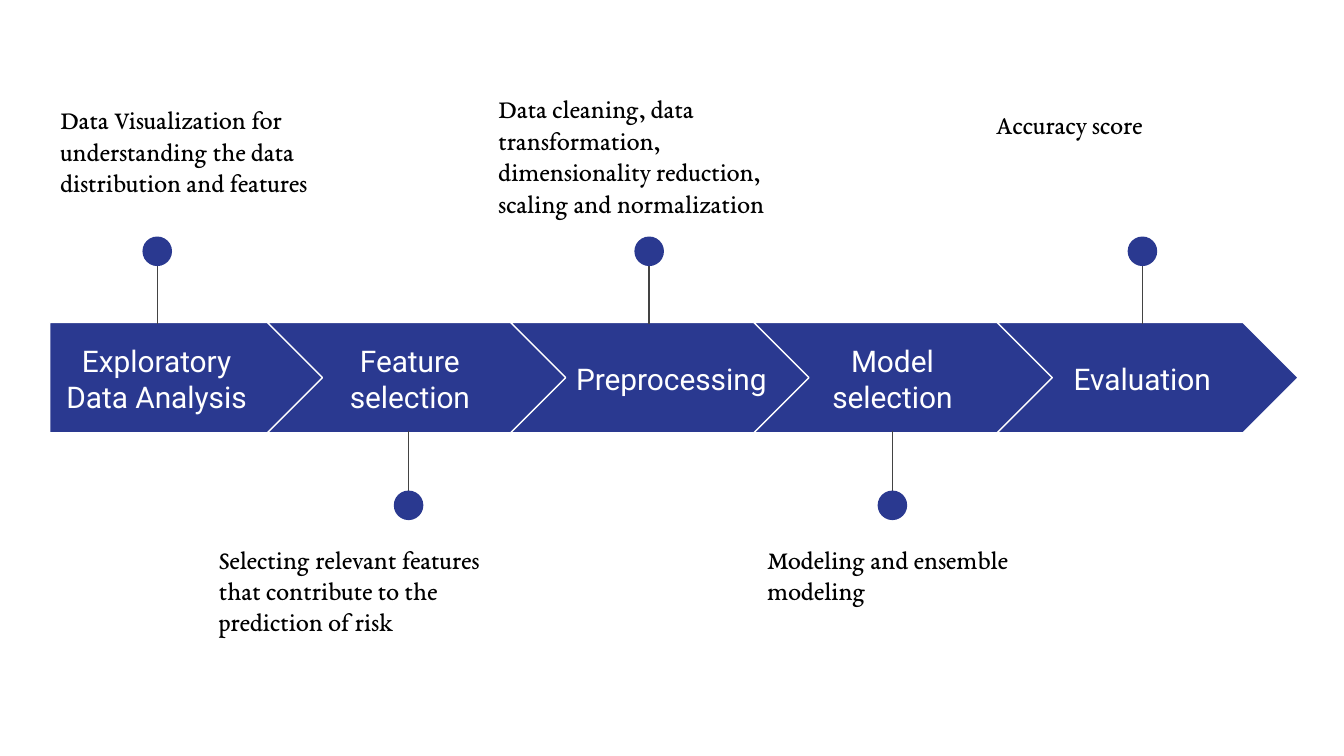
from lxml import etree
from pptx import Presentation
from pptx.dml.color import RGBColor
from pptx.enum import shapes, text
from pptx.oxml.ns import qn
from pptx.util import Inches, Pt

COLORS = {"band": "2A3990", "edge": "FFFFFF", "stem": "434343", "note": "000000"}
BAND_TOP, BAND_HEIGHT = 2.4, 0.82
FIRST_CHEVRON, CHEVRON_STEP, CHEVRON_WIDTH = 1.99, 1.81, 2.24
DOT = 0.22
LABEL_TOP, LABEL_HEIGHT = 2.56, 0.51
NOTE_WIDTH, NOTE_HEIGHT = 2.45, 0.99


class ProcessSlide:
    label_font = ("Roboto", 16, "edge")
    note_font = ("EB Garamond", 14, "note")

    def __init__(self, slide):
        self.slide = slide

    def color(self, name):
        return RGBColor.from_string(COLORS[name])

    def solid(self, kind, left, top, width, height, edge=None):
        solid = self.slide.shapes.add_shape(
            kind, Inches(left), Inches(top), Inches(width), Inches(height))
        solid.shadow.inherit = False
        solid.fill.solid()
        solid.fill.fore_color.rgb = self.color("band")
        if edge:
            solid.line.color.rgb = self.color(edge)
            solid.line.width = Pt(0.75)
        else:
            solid.line.fill.background()
        return solid

    def arrow(self, kind, left, width):
        arrow = self.solid(kind, left, BAND_TOP, width, BAND_HEIGHT, "edge")
        arrow.adjustments[0] = 0.5

    def stem(self, x, start, end):
        stem = self.slide.shapes.add_connector(
            shapes.MSO_CONNECTOR.STRAIGHT,
            Inches(x), Inches(start), Inches(x), Inches(end))
        stem.line.color.rgb = self.color("stem")
        stem.line.width = Pt(0.75)
        etree.SubElement(stem._element.spPr, qn("a:effectLst"))

    def pin(self, x, above):
        dot_top = 1.76 if above else 3.65
        start, end = (1.8, 2.41) if above else (3.82, 3.21)
        self.stem(x, start, end)
        self.solid(shapes.MSO_SHAPE.OVAL, x - DOT / 2, dot_top, DOT, DOT)

    def words(self, content, left, top, width, height, font):
        box = self.slide.shapes.add_textbox(
            Inches(left), Inches(top), Inches(width), Inches(height))
        frame = box.text_frame
        frame.word_wrap = True
        frame.margin_left = frame.margin_right = Inches(0.1)
        frame.margin_top = frame.margin_bottom = Inches(0.1)
        paragraph = frame.paragraphs[0]
        paragraph.text = content
        name, size, color = font
        paragraph.font.name = name
        paragraph.font.size = Pt(size)
        paragraph.font.color.rgb = self.color(color)
        return frame

    def label(self, content, left, width):
        frame = self.words(content, left, LABEL_TOP, width, LABEL_HEIGHT, self.label_font)
        frame.vertical_anchor = text.MSO_ANCHOR.MIDDLE
        frame.paragraphs[0].alignment = text.PP_ALIGN.CENTER

    def note(self, content, left, top, spacing):
        frame = self.words(content, left, top, NOTE_WIDTH, NOTE_HEIGHT, self.note_font)
        frame.paragraphs[0].line_spacing = spacing


STEPS = [
    ("Exploratory Data Analysis", 0.37, 1.59, 1.17,
     "Data Visualization for understanding the data distribution and features",
     0.35, 0.67, 1.0),
    ("Feature selection", 2.33, 1.44, 3.04,
     "Selecting relevant features that contribute to the prediction of risk",
     1.53, 3.94, 1.0),
    ("Preprocessing", 4.12, 1.75, 4.83,
     "Data cleaning, data transformation, dimensionality reduction, "
     "scaling and normalization",
     3.61, 0.59, 1.0),
    ("Model selection", 5.92, 1.44, 6.64,
     "Modeling and ensemble modeling", 5.61, 3.94, 1.0),
    ("Evaluation", 7.78, 1.44, 8.5, "Accuracy score", 7.31, 0.67, 1.15),
]


def main():
    deck = Presentation()
    deck.slide_width = Inches(10)
    deck.slide_height = deck.slide_width * 9 // 16
    process = ProcessSlide(deck.slides.add_slide(deck.slide_layouts[6]))

    for index, step in enumerate(STEPS):
        title, label_left, width, pin_x, detail, note_left, note_top, spacing = step
        if index == 0:
            process.arrow(shapes.MSO_SHAPE.PENTAGON, 0.37, 2.05)
        else:
            left = FIRST_CHEVRON + (index - 1) * CHEVRON_STEP
            process.arrow(shapes.MSO_SHAPE.CHEVRON, left, CHEVRON_WIDTH)
        process.label(title, label_left, width)
        process.pin(pin_x, above=index % 2 == 0)
        process.note(detail, note_left, note_top, spacing)

    deck.save("out.pptx")


if __name__ == "__main__":
    main()
